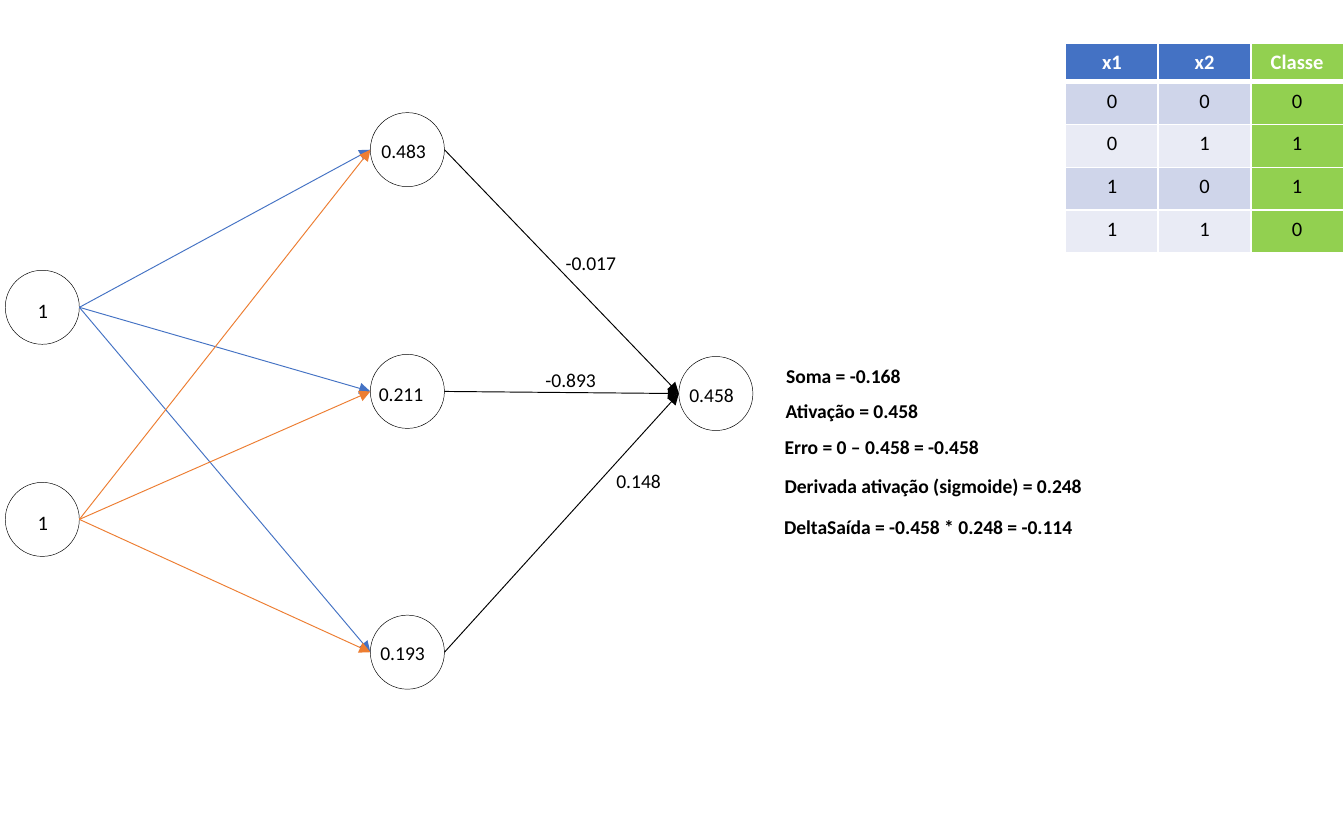
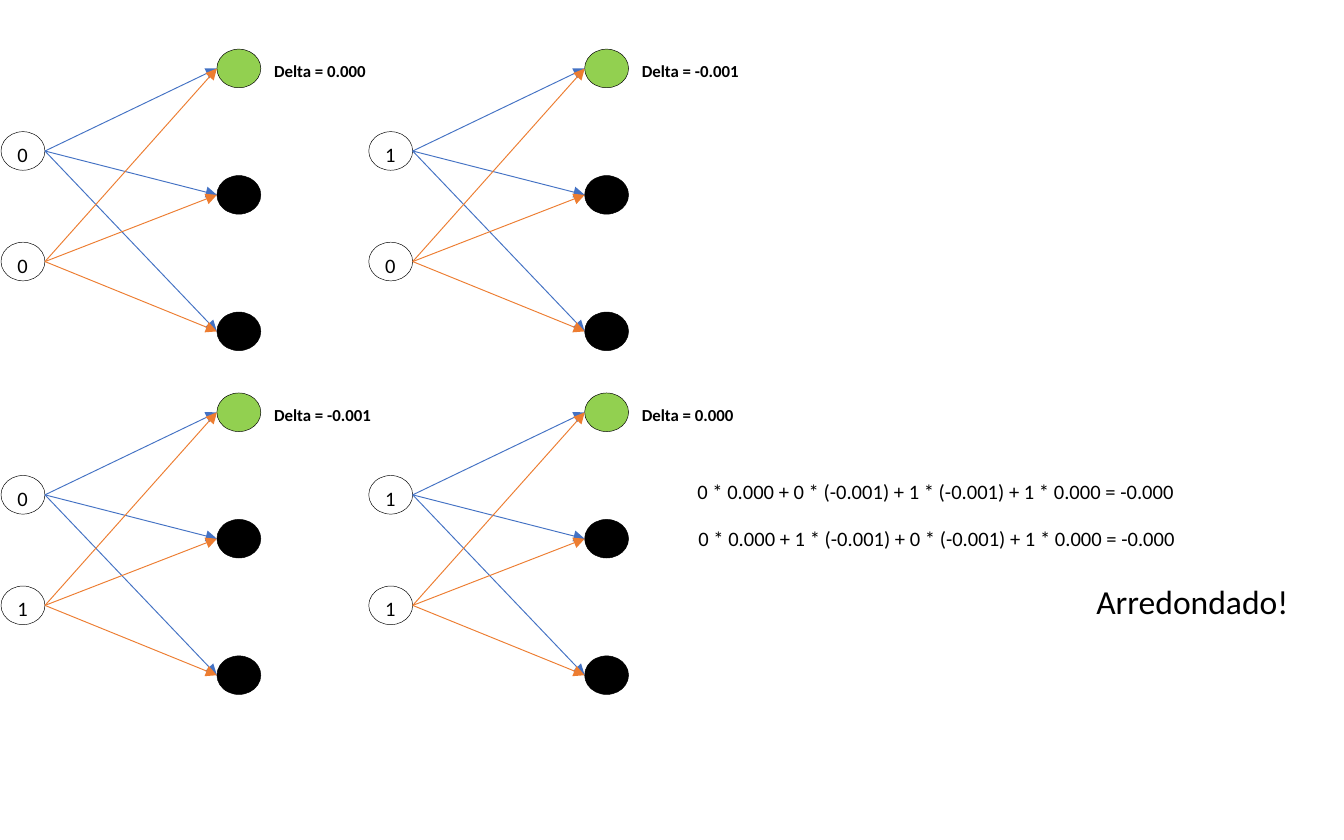
from itertools import product

from lxml.etree import SubElement
from pptx import Presentation
from pptx.dml.color import RGBColor
from pptx.enum.shapes import MSO_CONNECTOR as Link, MSO_SHAPE as Preset
from pptx.enum.text import MSO_AUTO_SIZE as AutoSize, PP_ALIGN as Align
from pptx.oxml.ns import qn
from pptx.util import Cm, Pt

BLACK = RGBColor(0x00, 0x00, 0x00)
WHITE = RGBColor(0xFF, 0xFF, 0xFF)
BLUE = RGBColor(0x44, 0x72, 0xC4)
ORANGE = RGBColor(0xED, 0x7D, 0x31)
GREEN = RGBColor(0x92, 0xD0, 0x50)
BAND_DARK = RGBColor(0xCF, 0xD5, 0xEA)
BAND_LIGHT = RGBColor(0xE9, 0xEB, 0xF5)
FONT = "Calibri"
INPUT_COLOURS = (BLUE, ORANGE)
LABEL_HEIGHTS = {9: 0.64, 10.5: 0.71, 11: 0.74, 18: 1.02}

XOR_ROWS = [
    ("x1", "x2", "Classe"),
    ("0", "0", "0"),
    ("0", "1", "1"),
    ("1", "0", "1"),
    ("1", "1", "0"),
]
XOR_LEFT, XOR_TOP, XOR_COLUMN = 20.14, 0.81, 1.75
XOR_HEIGHTS = [0.61] + [0.81] * 4

FORWARD = {
    "size": (1.4, 1.4),
    "input_left": 0.1,
    "input_tops": (5.11, 9.12),
    "hidden_left": 7.0,
    "hidden_tops": (2.13, 6.7, 11.63),
    "hidden_fills": (WHITE,) * 3,
    "digit_offset": (0.36, 0.39),
}
FORWARD_INPUTS = ("1", "1")
OUTPUT_LEFT, OUTPUT_TOP = 12.83, 6.74
ACTIVATIONS = [
    ("0.483", 6.96, 2.51),
    ("0.211", 6.91, 7.09),
    ("0.193", 6.94, 11.99),
    ("0.458", 12.78, 7.11),
]
WEIGHTS = [
    ("-0.017", 10.44, 4.62),
    ("-0.893", 10.06, 6.83),
    ("0.148", 11.4, 8.74),
]
OUTPUT_STEPS = [
    ("Soma = -0.168", 14.61, 6.76, 3.33),
    ("Ativação = 0.458", 14.6, 7.42, 3.66),
    ("Erro = 0 – 0.458 = -0.458", 14.58, 8.09, 5.33),
    ("Derivada ativação (sigmoide) = 0.248", 14.58, 8.84, 7.32),
    ("DeltaSaída = -0.458 * 0.248 = -0.114", 14.57, 9.61, 7.54),
]

BACKWARD = {
    "size": (0.83, 0.73),
    "input_left": 0.02,
    "input_tops": (2.49, 4.58),
    "hidden_left": 4.1,
    "hidden_tops": (0.93, 3.32, 5.9),
    "hidden_fills": (GREEN, BLACK, BLACK),
    "digit_offset": (0.06, 0.07),
}
COLUMN_STEP, ROW_STEP = 6.95, 6.5
DELTA_LEFT, DELTA_TOP = 4.93, 1.02
PATTERNS = [
    (("0", "0"), "Delta = 0.000"),
    (("0", "1"), "Delta = -0.001"),
    (("1", "0"), "Delta = -0.001"),
    (("1", "1"), "Delta = 0.000"),
]
SUMS = [
    ("0 * 0.000 + 0 * (-0.001) + 1 * (-0.001) + 1 * 0.000 = -0.000", 12.93, 8.94, 12.42, 11),
    ("0 * 0.000 + 1 * (-0.001) + 0 * (-0.001) + 1 * 0.000 = -0.000", 12.95, 9.82, 12.42, 11),
    ("Arredondado!", 20.47, 10.85, 4.8, 18),
]


def set_font(font, size, colour=BLACK, bold=False):
    """Apply the shared typeface with a size, colour and weight."""
    for attribute, value in {"name": FONT, "size": Pt(size), "bold": bold}.items():
        setattr(font, attribute, value)
    font.color.rgb = colour


def add_label(shapes, text, left, top, width, size=10.5, bold=False):
    """Add one unwrapped line of text."""
    label = shapes.add_textbox(Cm(left), Cm(top), Cm(width), Cm(LABEL_HEIGHTS[size]))
    frame = label.text_frame
    for attribute, value in {"word_wrap": False, "auto_size": AutoSize.SHAPE_TO_FIT_TEXT}.items():
        setattr(frame, attribute, value)
    run = frame.paragraphs[0].add_run()
    run.text = text
    set_font(run.font, size, bold=bold)


def add_neuron(shapes, left, top, size, fill):
    """Draw a neuron and return its left and right middle points."""
    width, height = size
    neuron = shapes.add_shape(Preset.OVAL, Cm(left), Cm(top), Cm(width), Cm(height))
    neuron.shadow.inherit = False
    neuron.fill.solid()
    neuron.fill.fore_color.rgb = fill
    neuron.line.color.rgb = BLACK
    neuron.line.width = Pt(0.25)
    middle = top + height / 2
    return (left, middle), (left + width, middle)


def add_synapse(shapes, start, end, colour):
    """Draw an arrow from one neuron to the next."""
    synapse = shapes.add_connector(Link.STRAIGHT, *map(Cm, start + end))
    synapse.line.color.rgb = colour
    synapse.line.width = Pt(0.5)
    SubElement(synapse.line._get_or_add_ln(), qn("a:tailEnd"), type="triangle")
    SubElement(synapse._element.spPr, qn("a:effectLst"))


def add_network(shapes, plan, digits, dx=0, dy=0):
    """Draw inputs joined to hidden neurons and return the hidden right ends."""
    size = plan["size"]
    hidden = [
        add_neuron(shapes, plan["hidden_left"] + dx, top + dy, size, fill)
        for top, fill in zip(plan["hidden_tops"], plan["hidden_fills"])
    ]
    left = plan["input_left"] + dx
    inputs = [add_neuron(shapes, left, top + dy, size, WHITE) for top in plan["input_tops"]]
    for (source, colour), target in product(zip(inputs, INPUT_COLOURS), hidden):
        add_synapse(shapes, source[1], target[0], colour)
    digit_dx, digit_dy = plan["digit_offset"]
    for digit, top in zip(digits, plan["input_tops"]):
        add_label(shapes, digit, left + digit_dx, top + dy + digit_dy, 0.76, 11)
    return [right for _, right in hidden]


def add_border(cell, side, width):
    """Give one side of a cell a white line."""
    edge = SubElement(cell._tc.get_or_add_tcPr(), qn(f"a:ln{side}"), w=str(Pt(width)))
    paint = SubElement(edge, qn("a:solidFill"))
    SubElement(paint, qn("a:srgbClr"), val=str(WHITE))


def add_xor_table(shapes):
    """Draw the truth table with its class column in green."""
    columns = len(XOR_ROWS[0])
    xor = shapes.add_table(
        len(XOR_ROWS), columns, Cm(XOR_LEFT), Cm(XOR_TOP),
        Cm(XOR_COLUMN * columns), Cm(sum(XOR_HEIGHTS)),
    ).table
    for column in xor.columns:
        column.width = Cm(XOR_COLUMN)
    for row, height in zip(xor.rows, XOR_HEIGHTS):
        row.height = Cm(height)
    for r, values in enumerate(XOR_ROWS):
        row_fill = BLUE if r == 0 else (BAND_LIGHT, BAND_DARK)[r % 2]
        for c, value in enumerate(values):
            cell = xor.cell(r, c)
            widths = {"L": 1, "R": 1, "T": 3 if r == 1 else 1, "B": 3 if r == 0 else 1}
            for side, width in widths.items():
                add_border(cell, side, width)
            cell.fill.solid()
            cell.fill.fore_color.rgb = GREEN if c == columns - 1 else row_fill
            paragraph = cell.text_frame.paragraphs[0]
            paragraph.alignment = Align.CENTER
            run = paragraph.add_run()
            run.text = value
            set_font(run.font, 11, BLACK if r else WHITE, bold=r == 0)


def build_forward(slide):
    """Show the forward pass and the delta of the output."""
    add_xor_table(slide.shapes)
    network = slide.shapes.add_group_shape().shapes
    hidden_ends = add_network(network, FORWARD, FORWARD_INPUTS)
    output, _ = add_neuron(network, OUTPUT_LEFT, OUTPUT_TOP, FORWARD["size"], WHITE)
    for end in hidden_ends:
        add_synapse(network, end, output, BLACK)
    for weight, left, top in WEIGHTS:
        add_label(network, weight, left, top, 1.8)
    for activation, left, top in ACTIVATIONS:
        add_label(slide.shapes, activation, left, top, 1.57)
    for step, left, top, width in OUTPUT_STEPS:
        add_label(slide.shapes, step, left, top, width, bold=True)


def build_backward(slide):
    """Show the hidden delta of each pattern and the sums."""
    for i, (digits, delta) in enumerate(PATTERNS):
        column, row = divmod(i, 2)
        dx, dy = column * COLUMN_STEP, row * ROW_STEP
        network = slide.shapes.add_group_shape().shapes
        add_network(network, BACKWARD, digits, dx, dy)
        add_label(network, delta, DELTA_LEFT + dx, DELTA_TOP + dy, 2.8, 9, True)
    for total, left, top, width, size in SUMS:
        add_label(slide.shapes, total, left, top, width, size)


def main():
    """Build both slides and save them."""
    deck = Presentation()
    deck.slide_width, deck.slide_height = Cm(25.4), Cm(15.88)
    blank = deck.slide_layouts[6]
    for build in (build_forward, build_backward):
        build(deck.slides.add_slide(blank))
    deck.save("out.pptx")


if __name__ == "__main__":
    main()
